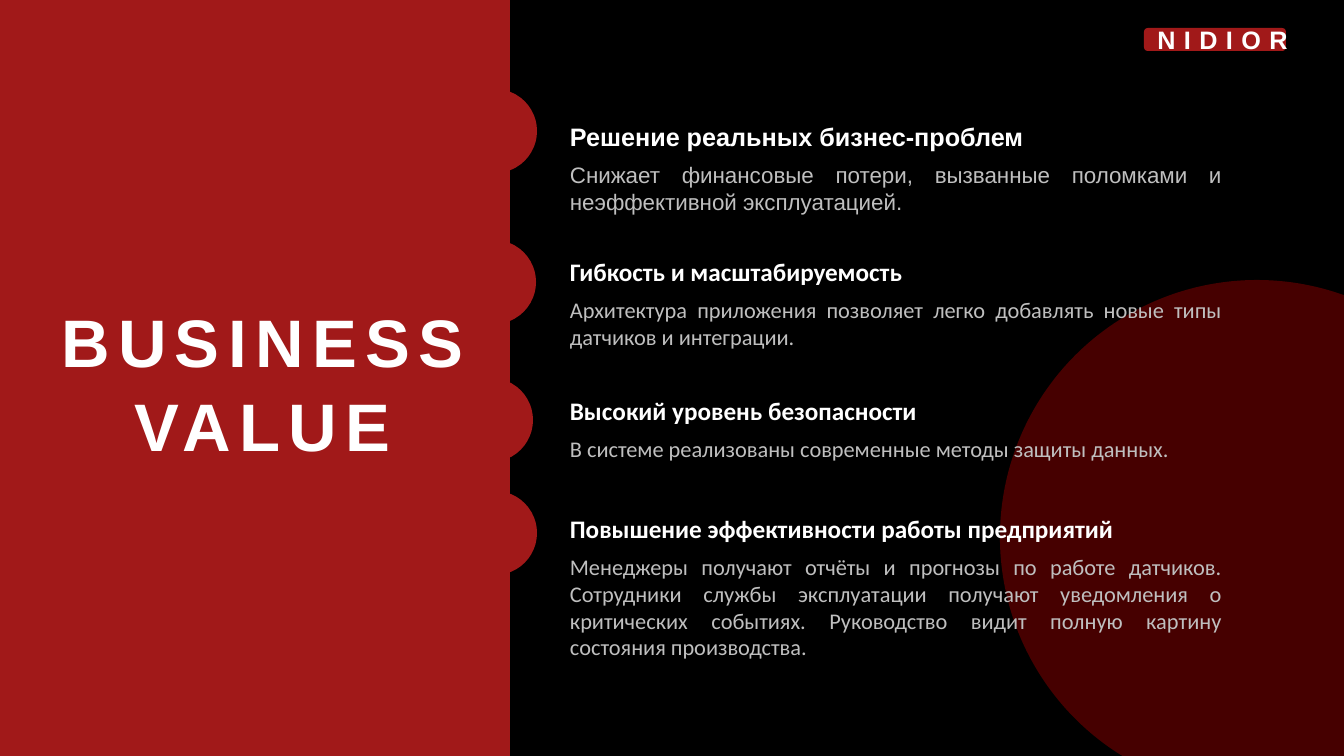
import pptx
import pptx.dml.color
import pptx.enum.shapes
import pptx.enum.text
import pptx.util
from pptx.oxml import parse_xml
from pptx.oxml.ns import nsdecls

PX = 914400 / 100.8
RED, WHITE, GREY = "A11919", "FFFFFF", "BFBFBF"
SHAPE = pptx.enum.shapes.MSO_SHAPE
ALIGN = pptx.enum.text.PP_ALIGN
FIT = pptx.enum.text.MSO_AUTO_SIZE

# Heading, its font, its width, body, body height, item top, bump left, bump top
ITEMS = [
    ("Решение реальных бизнес-проблем", "Arial", 479,
     "Снижает финансовые потери, вызванные поломками и неэффективной эксплуатацией.",
     65, 116, 453, 89),
    ("Гибкость и масштабируемость", "Calibri", 362,
     "Архитектура приложения позволяет легко добавлять новые типы датчиков и интеграции.",
     65, 251, 452, 240),
    ("Высокий уровень безопасности", "Calibri", 370,
     "В системе реализованы современные методы защиты данных.",
     37, 390, 449, 378),
    ("Повышение эффективности работы предприятий", "Calibri", 569,
     "Менеджеры получают отчёты и прогнозы по работе датчиков. Сотрудники службы "
     "эксплуатации получают уведомления о критических событиях. Руководство видит "
     "полную картину состояния производства.",
     119, 508, 453, 491),
]


def px(length):
    return pptx.util.Emu(round(length * PX))


def paint(color_owner, color):
    color_owner.rgb = pptx.dml.color.RGBColor.from_string(color)


def add_filled(slide, kind, box, color, alpha=None):
    shape = slide.shapes.add_shape(kind, *map(px, box))
    shape.shadow.inherit = False
    shape.line.fill.background()
    shape.fill.solid()
    paint(shape.fill.fore_color, color)
    if alpha is not None:
        color_element = shape.fill._xPr.solidFill.srgbClr
        color_element.append(parse_xml(f'<a:alpha {nsdecls("a")} val="{alpha * 1000}"/>'))
    return shape


def write(shape, text, size, font, color, align, bold=False, spacing=0, wrap=True):
    frame = shape.text_frame
    frame.text = text
    frame.word_wrap = wrap
    frame.auto_size = FIT.SHAPE_TO_FIT_TEXT
    frame.vertical_anchor = pptx.enum.text.MSO_ANCHOR.TOP
    for paragraph in frame.paragraphs:
        paragraph.alignment = align
        for run in paragraph.runs:
            run.font.size = pptx.util.Pt(size)
            run.font.name = font
            run.font.bold = bold
            paint(run.font.color, color)
            if spacing:
                run.font._element.set("spc", str(spacing * 100))


def add_text(slide, box, *args, **options):
    write(slide.shapes.add_textbox(*map(px, box)), *args, **options)


def add_title_panel(slide, left, top, width, height):
    add_filled(slide, SHAPE.RECTANGLE, (left, top, width, height), RED)
    title = slide.shapes.title
    # Bring the title in front of the panel
    slide.shapes._spTree.append(title._element)
    title.left, title.top = px(left + 34), px(top + 291)
    title.width, title.height = px(457), px(173)
    write(title, "BUSINESS\nVALUE", 48, "Arial", WHITE, ALIGN.CENTER, bold=True, spacing=6)
    for paragraph in title.text_frame.paragraphs:
        paragraph.line_spacing = 1.05


def add_badge(slide, left, top):
    add_filled(slide, SHAPE.ROUNDED_RECTANGLE, (left + 7, top + 9, 142, 23), RED)
    add_text(slide, (left, top, 171, 40), "NIDIOR", 18, "Arial", WHITE,
             ALIGN.CENTER, bold=True, spacing=6)


def add_items(slide, left, width):
    for heading, font, heading_width, body, body_height, top, bump_left, bump_top in ITEMS:
        add_filled(slide, SHAPE.OVAL, (bump_left, bump_top, 84, 84), RED)
        add_text(slide, (left, top, heading_width, 40), heading, 18, font, WHITE,
                 ALIGN.LEFT, bold=True, wrap=False)
        add_text(slide, (left, top + 40, width, body_height), body, 16, font, GREY,
                 ALIGN.JUSTIFY)


def main():
    presentation = pptx.Presentation()
    presentation.slide_width, presentation.slide_height = px(1344), px(756)
    slide = presentation.slides.add_slide(presentation.slide_layouts[5])
    slide.background.fill.solid()
    paint(slide.background.fill.fore_color, "000000")

    # Translucent disc in the corner
    add_filled(slide, SHAPE.OVAL, (1000, 280, 514, 514), "C00000", alpha=37)
    add_title_panel(slide, 0, 0, 510, 756)
    add_badge(slide, 1137, 19)
    add_items(slide, 560, 672)
    presentation.save("out.pptx")


if __name__ == "__main__":
    main()
